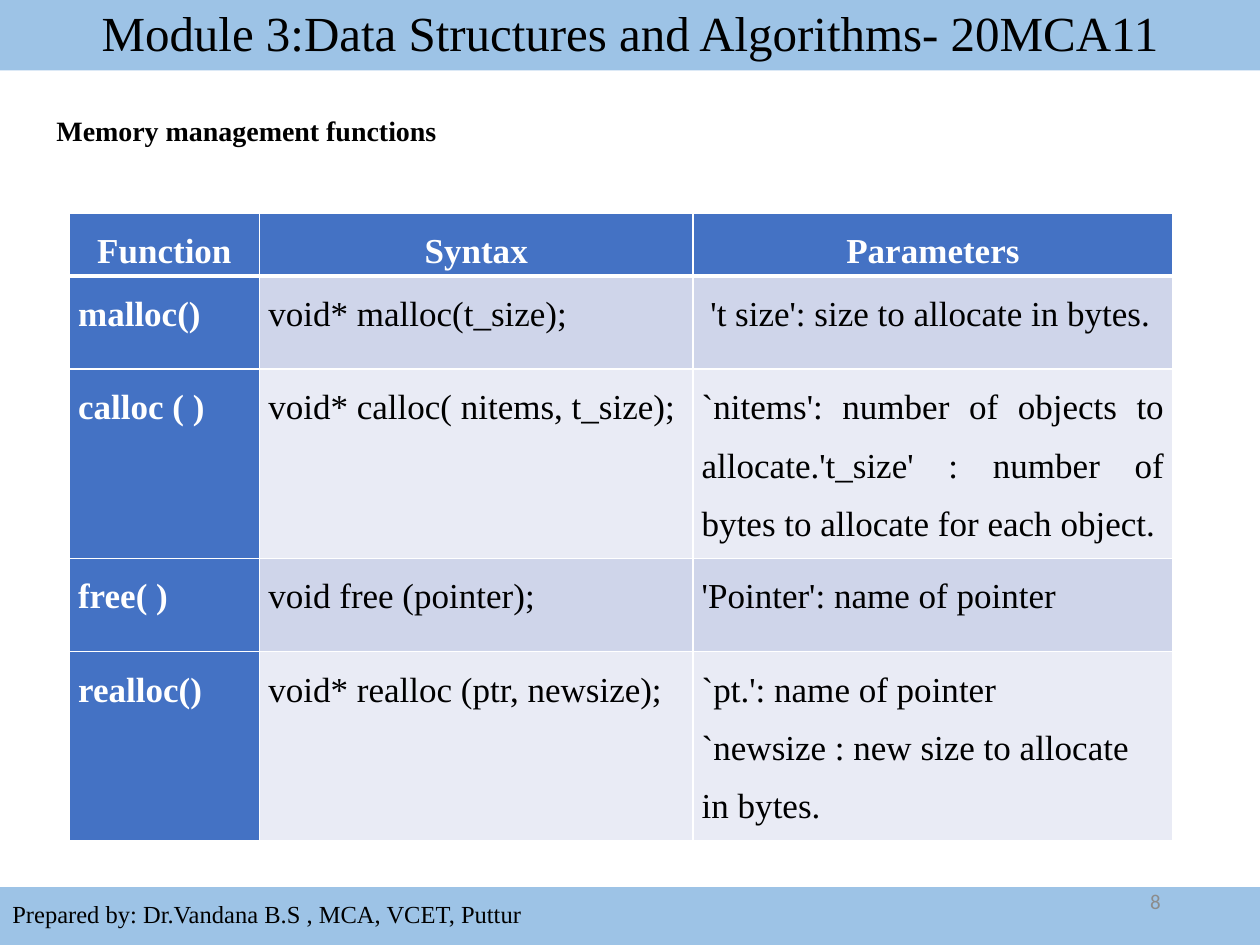
from dataclasses import dataclass

from lxml import etree
from pptx import Presentation
from pptx.dml.color import RGBColor
from pptx.enum.shapes import MSO_SHAPE
from pptx.enum.text import MSO_ANCHOR, MSO_AUTO_SIZE, PP_ALIGN
from pptx.oxml.ns import qn
from pptx.util import Inches, Pt

RECTANGLE = MSO_SHAPE.RECTANGLE
MIDDLE = MSO_ANCHOR.MIDDLE
FIT_SHAPE = MSO_AUTO_SIZE.SHAPE_TO_FIT_TEXT
LEFT, CENTER, RIGHT, JUSTIFY = PP_ALIGN.LEFT, PP_ALIGN.CENTER, PP_ALIGN.RIGHT, PP_ALIGN.JUSTIFY

PAGE_WIDTH, PAGE_HEIGHT = 10, 7.5
TABLE_AREA = (0.55, 1.69, 8.76, 4.8)
COLUMN_WIDTHS = (1.51, 3.44, 3.81)
HEADER_ROW, SHORT_ROW, TALL_ROW = 0.4, 0.74, 1.3
ROW_HEIGHTS = (HEADER_ROW, SHORT_ROW, TALL_ROW, SHORT_ROW, TALL_ROW)

HEADINGS = ("Function", "Syntax", "Parameters")
FUNCTIONS = (
    ("malloc()", "void* malloc(t_size);", (" 't size': size to allocate in bytes.",)),
    ("calloc ( )", "void* calloc( nitems, t_size);",
     ("`nitems': number of objects to allocate.'t_size' : number of bytes to allocate for each object.",)),
    ("free( )", "void free (pointer);", ("'Pointer': name of pointer",)),
    ("realloc()", "void* realloc (ptr, newsize);",
     ("`pt.': name of pointer", "`newsize : new size to allocate in bytes.")),
)


@dataclass(frozen=True)
class Theme:
    """Colours, fonts and type sizes of the slide."""
    bar: str = "9DC3E6"
    header: str = "4472C4"
    bands: tuple = ("CFD5EA", "E9EBF5")
    dark: str = "000000"
    light: str = "FFFFFF"
    muted: str = "8C8C8C"
    serif: str = "Times New Roman"
    sans: str = "Calibri"
    title: int = 28
    table: int = 20
    heading: int = 16
    footer: int = 14
    number: int = 12


THEME = Theme()


def write_paragraph(para, text, size, color=THEME.dark, bold=False,
                    align=LEFT, spacing=1.0, font=THEME.serif):
    """Format a paragraph and add its text as one run."""
    para.alignment = align
    para.line_spacing = spacing
    span = para.add_run()
    span.text = text
    span.font.name = font
    span.font.size = Pt(size)
    span.font.bold = bold
    span.font.color.rgb = RGBColor.from_string(color)


def add_bar(page, top, height, text, size, align=LEFT):
    """Add a full-width coloured bar with one line of text."""
    bar = page.shapes.add_shape(RECTANGLE, 0, Inches(top), Inches(PAGE_WIDTH), Inches(height))
    bar.shadow.inherit = False
    bar.fill.solid()
    bar.fill.fore_color.rgb = RGBColor.from_string(THEME.bar)
    bar.line.fill.background()
    bar.text_frame.word_wrap = True
    bar.text_frame.vertical_anchor = MIDDLE
    write_paragraph(bar.text_frame.paragraphs[0], text, size, align=align, spacing=0.9)


def add_label(page, area, text, size, wrap=True, **style):
    """Add a vertically centred text box."""
    box = page.shapes.add_textbox(*map(Inches, area))
    frame = box.text_frame
    frame.word_wrap = wrap
    frame.vertical_anchor = MIDDLE
    if not wrap:
        frame.auto_size = FIT_SHAPE
    write_paragraph(frame.paragraphs[0], text, size, **style)


def set_borders(cell, top, bottom):
    """Draw white borders around a cell, with widths in points."""
    properties = cell._tc.get_or_add_tcPr()
    widths = (("a:lnL", 1), ("a:lnR", 1), ("a:lnT", top), ("a:lnB", bottom))
    for index, (tag, width) in enumerate(widths):
        line = etree.Element(qn(tag), w=str(Pt(width)))
        fill = etree.SubElement(line, qn("a:solidFill"))
        etree.SubElement(fill, qn("a:srgbClr"), val=THEME.light)
        properties.insert(index, line)


def fill_cell(cell, lines, fill, color, bold, align, top=1, bottom=1):
    """Set the text, fill, margins and borders of a table cell."""
    cell.margin_left = cell.margin_right = Inches(0.07)
    cell.margin_top = cell.margin_bottom = 0
    cell.fill.solid()
    cell.fill.fore_color.rgb = RGBColor.from_string(fill)
    set_borders(cell, top, bottom)
    frame = cell.text_frame
    for index, text in enumerate(lines):
        para = frame.add_paragraph() if index else frame.paragraphs[0]
        write_paragraph(para, text, THEME.table, color, bold, align, spacing=1.5)


def add_function_table(page):
    """Add the table of memory management functions."""
    table = page.shapes.add_table(len(ROW_HEIGHTS), len(COLUMN_WIDTHS),
                                  *map(Inches, TABLE_AREA)).table
    for column, width in zip(table.columns, COLUMN_WIDTHS):
        column.width = Inches(width)
    for row, height in zip(table.rows, ROW_HEIGHTS):
        row.height = Inches(height)
    for column, heading in enumerate(HEADINGS):
        fill_cell(table.cell(0, column), [heading], THEME.header, THEME.light, True, CENTER, bottom=3)
    for row, (name, syntax, parameters) in enumerate(FUNCTIONS, 1):
        band = THEME.bands[(row - 1) % 2]
        top = 3 if row == 1 else 1
        align = JUSTIFY if len(parameters) == 1 else LEFT
        fill_cell(table.cell(row, 0), [name], THEME.header, THEME.light, True, LEFT, top)
        fill_cell(table.cell(row, 1), [syntax], band, THEME.dark, False, LEFT, top)
        fill_cell(table.cell(row, 2), parameters, band, THEME.dark, False, align, top)


def main():
    """Build the slide and save the deck."""
    deck = Presentation()
    deck.slide_width, deck.slide_height = Inches(PAGE_WIDTH), Inches(PAGE_HEIGHT)
    page = deck.slides.add_slide(deck.slide_layouts[6])
    add_bar(page, 0, 0.56, "Module 3:Data Structures and Algorithms- 20MCA11", THEME.title, CENTER)
    add_bar(page, PAGE_HEIGHT - 0.46, 0.46,
            "Prepared by: Dr.Vandana B.S , MCA, VCET, Puttur", THEME.footer)
    add_label(page, (7.06, 6.95, 2.25, 0.4), "8", THEME.number,
              color=THEME.muted, align=RIGHT, font=THEME.sans)
    add_function_table(page)
    add_label(page, (0.35, 0.85, 3.26, 0.37), "Memory management functions",
              THEME.heading, wrap=False, bold=True)
    deck.save("out.pptx")


if __name__ == "__main__":
    main()
